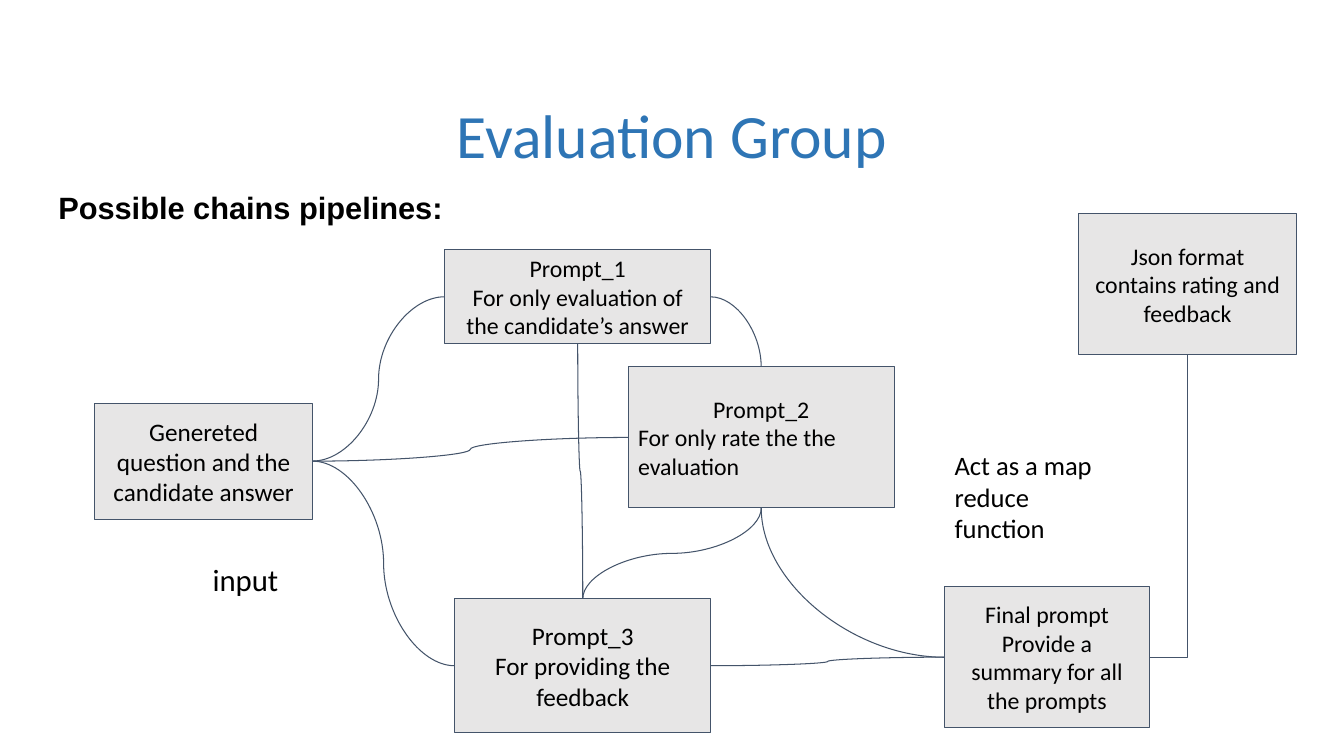
from lxml.etree import SubElement
from pptx import Presentation
from pptx.dml.color import RGBColor
from pptx.enum.shapes import MSO_CONNECTOR as Link, MSO_SHAPE as Shape
from pptx.enum.text import MSO_ANCHOR as Anchor, MSO_AUTO_SIZE as AutoSize, PP_ALIGN as Align
from pptx.oxml.ns import qn
from pptx.util import Inches, Pt

BLACK, BLUE, GREY, SLATE = "000000", "2E75B5", "E7E6E6", "44546A"
TOP, LEFT, BOTTOM, RIGHT = range(4)

# name: (left, top, width, height), text size, paragraphs
STEPS = {
    "prompt_1": ((4.41, 2.48, 2.64, 0.93), 17,
                 ["Prompt_1", "For only evaluation of the candidate’s answer"]),
    "prompt_2": ((6.23, 3.64, 2.64, 1.4), 17,
                 ["Prompt_2", "For only rate the the evaluation"]),
    "prompt_3": ((4.51, 5.94, 2.54, 1.33), 18,
                 ["Prompt_3", "For providing the feedback"]),
    "final": ((9.37, 5.82, 2.03, 1.4), 17,
              ["Final prompt", "Provide a summary for all the prompts"]),
    "source": ((0.94, 4, 2.16, 1.15), 18,
               ["Genereted question and the candidate answer"]),
    "json": ((10.7, 2.12, 2.16, 1.4), 17,
             ["Json format contains rating and feedback"]),
}

# start step, side, end step, side, preset geometry
FLOWS = [
    ("final", RIGHT, "json", BOTTOM, "bentConnector2"),
    ("prompt_2", BOTTOM, "prompt_3", TOP, "curvedConnector3"),
    ("prompt_1", RIGHT, "prompt_2", TOP, "curvedConnector2"),
    ("prompt_1", BOTTOM, "prompt_3", TOP, "curvedConnector3"),
    ("source", RIGHT, "prompt_1", LEFT, "curvedConnector3"),
    ("prompt_2", BOTTOM, "final", LEFT, "curvedConnector2"),
    ("prompt_3", RIGHT, "final", LEFT, "curvedConnector3"),
    ("source", RIGHT, "prompt_2", LEFT, "curvedConnector3"),
    ("source", RIGHT, "prompt_3", LEFT, "curvedConnector3"),
]


def color(hex_code):
    return RGBColor.from_string(hex_code)


def apply(target, formats):
    for name, value in formats.items():
        setattr(target, name, value)


def write(frame, lines, size, ink=BLACK, font="Calibri", bold=False,
          margin=0.1, anchor=Anchor.TOP, para_format=None):
    apply(frame, {"word_wrap": True, "auto_size": AutoSize.NONE, "vertical_anchor": anchor,
                  "margin_left": Inches(0.1), "margin_right": Inches(0.1),
                  "margin_top": Inches(margin), "margin_bottom": Inches(margin)})
    for number, line in enumerate(lines):
        para = frame.add_paragraph() if number else frame.paragraphs[0]
        apply(para, para_format or {"alignment": Align.LEFT})
        span = para.add_run()
        span.text = line
        apply(span.font, {"name": font, "size": Pt(size), "bold": bold})
        span.font.color.rgb = color(ink)


def add_title(page, box, text):
    title = page.shapes.title
    apply(title, dict(zip(("left", "top", "width", "height"), map(Inches, box))))
    write(title.text_frame, [text], 44, BLUE, margin=0.05, anchor=Anchor.BOTTOM,
          para_format={"alignment": Align.CENTER, "line_spacing": 0.9})


def add_note(page, box, text, size, indent=0, hanging=0, **formats):
    note = page.shapes.add_textbox(*map(Inches, box))
    write(note.text_frame, [text], size, **formats)
    properties = note.text_frame.paragraphs[0]._p.get_or_add_pPr()
    properties.set("marL", str(Inches(indent)))
    properties.set("indent", str(-Inches(hanging)))


def add_step(page, box, size, lines):
    step = page.shapes.add_shape(Shape.RECTANGLE, *map(Inches, box))
    step.shadow.inherit = False
    step.fill.solid()
    step.fill.fore_color.rgb = color(GREY)
    step.line.color.rgb = color(SLATE)
    step.line.width = Pt(0.75)
    write(step.text_frame, lines, size, anchor=Anchor.MIDDLE,
          para_format={"alignment": Align.CENTER})
    return step


def turn_downward(flow):
    """Rotate a connector so that it leaves its start vertically."""
    x1, y1, x2, y2 = flow.begin_x, flow.begin_y, flow.end_x, flow.end_y
    length, spread = abs(y2 - y1), abs(x2 - x1)
    apply(flow, {"left": (x1 + x2 - length) // 2, "top": (y1 + y2 - spread) // 2,
                 "width": length, "height": spread})
    transform = flow.element.spPr.find(qn("a:xfrm"))
    transform.set("rot", "5400000")
    transform.set("flipH", "0")
    transform.set("flipV", "1" if x2 > x1 else "0")


def add_flow(page, start, start_side, end, end_side, preset):
    kind = Link.ELBOW if preset.startswith("bent") else Link.CURVE
    flow = page.shapes.add_connector(kind, 0, 0, 0, 0)
    flow.begin_connect(start, start_side)
    flow.end_connect(end, end_side)
    if start_side == BOTTOM:
        turn_downward(flow)
    flow.line.color.rgb = color(SLATE)
    flow.line.width = Pt(0.75)
    properties = flow.element.spPr
    properties.find(qn("a:prstGeom")).set("prst", preset)
    SubElement(properties, qn("a:effectLst"))


def add_pipeline(page):
    steps = {name: add_step(page, *details) for name, details in STEPS.items()}
    steps["prompt_2"].text_frame.paragraphs[1].alignment = Align.LEFT
    for start, start_side, end, end_side, preset in FLOWS:
        add_flow(page, steps[start], start_side, steps[end], end_side, preset)


def main():
    deck = Presentation()
    deck.slide_width, deck.slide_height = Inches(13.33), Inches(7.5)
    page = deck.slides.add_slide(deck.slide_layouts[5])
    add_title(page, (3.41, 0.82, 6.51, 0.93), "Evaluation Group")
    add_note(page, (0.23, 1.72, 12.88, 5.47), "Possible chains pipelines:", 22,
             indent=0.5, hanging=0.25, font="Arial", bold=True,
             para_format={"line_spacing": 1.15, "space_before": Pt(12)})
    add_pipeline(page)
    add_note(page, (9.37, 4.35, 1.67, 1.33), "Act as a map reduce function", 19)
    add_note(page, (1.01, 5.46, 2.03, 0.71), "input", 22, indent=1)
    deck.save("out.pptx")


if __name__ == "__main__":
    main()
